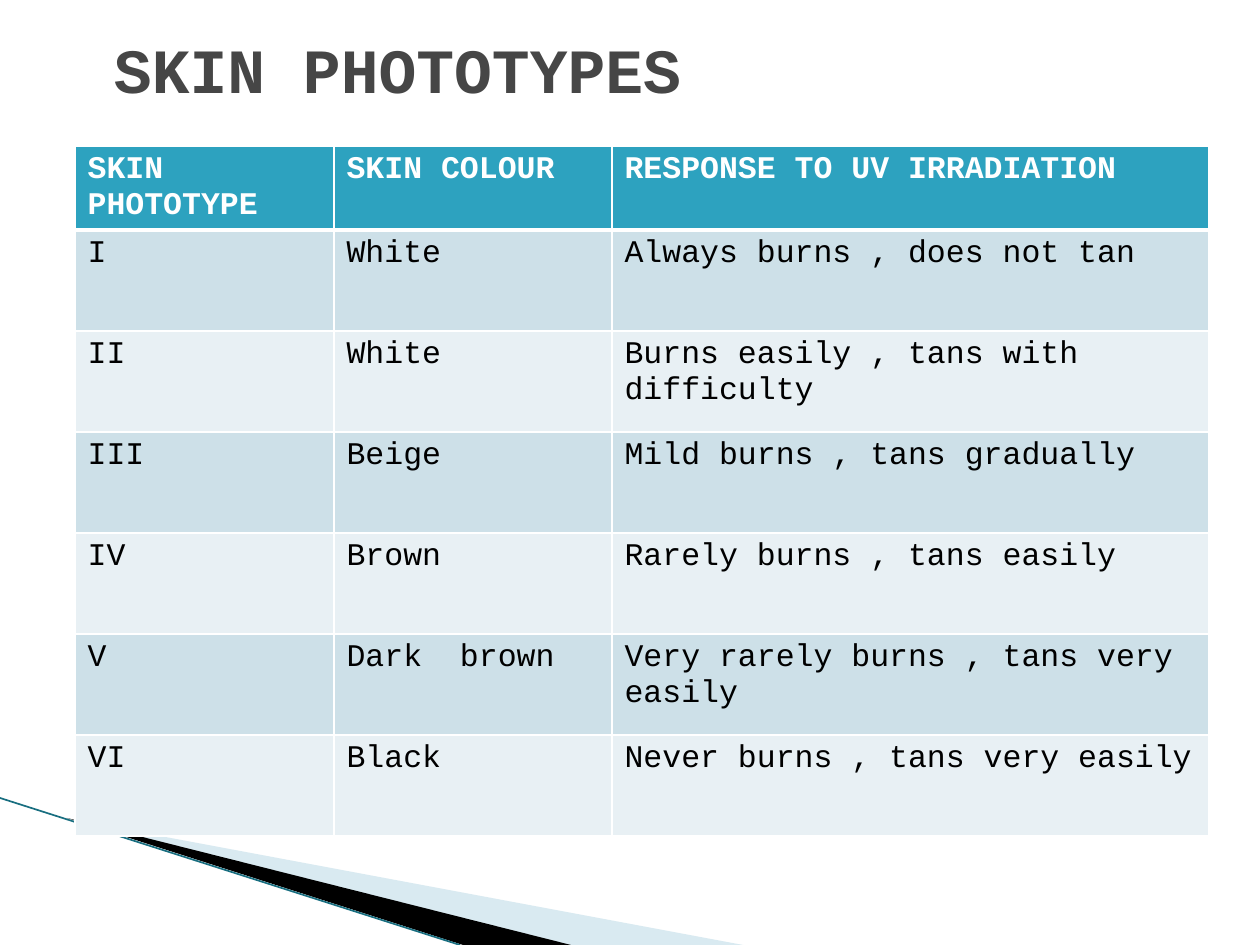
from dataclasses import dataclass

from lxml import etree
from pptx import Presentation
from pptx.dml.color import RGBColor
from pptx.enum.shapes import MSO_CONNECTOR
from pptx.enum.text import MSO_ANCHOR
from pptx.oxml.ns import qn
from pptx.util import Emu, Pt

STRAIGHT = MSO_CONNECTOR.STRAIGHT
MIDDLE = MSO_ANCHOR.MIDDLE
TOP = MSO_ANCHOR.TOP
SCALE = 914400 / 126  # EMU in one px
FONT = "Courier New"
WHITE, BLACK = "FFFFFF", "000000"
HEAD, BANDS = "2DA2BF", ("CDE0E8", "E8F0F4")


@dataclass
class Wedge:
    points: list[tuple[int, int]]
    fill: str
    alpha: int = 100


@dataclass
class Skin:
    type: str
    colour: str
    response: str


WEDGES = [
    Wedge([(69, 819), (743, 945), (570, 945)], "A0CBDC", 40),
    Wedge([(67, 818), (571, 945), (463, 945)], BLACK),
]
TITLES = Skin("SKIN PHOTOTYPE", "SKIN COLOUR", "RESPONSE TO UV IRRADIATION")
SKINS = [
    Skin("I", "White", "Always burns , does not tan"),
    Skin("II", "White", "Burns easily , tans with difficulty"),
    Skin("III", "Beige", "Mild burns , tans gradually"),
    Skin("IV", "Brown", "Rarely burns , tans easily"),
    Skin("V", "Dark  brown", "Very rarely burns , tans very easily"),
    Skin("VI", "Black", "Never burns , tans very easily"),
]
WIDTHS = (259, 278, 597)
HEAD_H, ROW_H = 77, 101


def px(n: int) -> Emu:
    return Emu(round(n * SCALE))


def rgb(code: str) -> RGBColor:
    return RGBColor.from_string(code)


def write(frame, text: str, size: int = 18, color: str = BLACK,
          bold: bool = False, anchor=TOP) -> None:
    frame.word_wrap = True
    frame.vertical_anchor = anchor
    run = frame.paragraphs[0].add_run()
    run.text = text
    font = run.font
    font.name, font.size, font.bold = FONT, Pt(size), bold
    font.color.rgb = rgb(color)


def draw_wedge(slide, wedge: Wedge) -> None:
    first, *rest = wedge.points
    pen = slide.shapes.build_freeform(*first, scale=SCALE)
    pen.add_line_segments(rest, close=True)
    shape = pen.convert_to_shape()
    shape.shadow.inherit = False
    shape.line.fill.background()
    shape.fill.solid()
    shape.fill.fore_color.rgb = rgb(wedge.fill)
    if wedge.alpha < 100:
        tone = shape.fill._xPr.find(".//" + qn("a:srgbClr"))
        etree.SubElement(tone, qn("a:alpha"), val=str(wedge.alpha * 1000))


def draw_line(slide, start: tuple[int, int], end: tuple[int, int],
              color: str) -> None:
    line = slide.shapes.add_connector(STRAIGHT, *map(px, start + end))
    line.line.color.rgb = rgb(color)
    line.line.width = Pt(0.95)
    etree.SubElement(line._element.spPr, qn("a:effectLst"))


def add_edge(cell, side: str, width: int) -> None:
    edge = etree.SubElement(cell._tc.get_or_add_tcPr(), qn("a:ln" + side),
                            w=str(Pt(width)))
    fill = etree.SubElement(edge, qn("a:solidFill"))
    etree.SubElement(fill, qn("a:srgbClr"), val=WHITE)


def draw_table(slide, left: int, top: int) -> None:
    rows = [TITLES, *SKINS]
    high = HEAD_H + ROW_H * len(SKINS)
    table = slide.shapes.add_table(len(rows), len(WIDTHS), px(left), px(top),
                                   px(sum(WIDTHS)), px(high)).table
    for col, width in zip(table.columns, WIDTHS):
        col.width = px(width)
    for r, skin in enumerate(rows):
        head = r == 0
        table.rows[r].height = px(HEAD_H if head else ROW_H)
        for c, text in enumerate((skin.type, skin.colour, skin.response)):
            cell = table.cell(r, c)
            for side in "LRTB":
                thick = (r, side) in ((0, "B"), (1, "T"))
                add_edge(cell, side, 3 if thick else 1)
            cell.fill.solid()
            cell.fill.fore_color.rgb = rgb(HEAD if head else BANDS[(r - 1) % 2])
            write(cell.text_frame, text, color=WHITE if head else BLACK,
                  bold=head)


def main() -> None:
    deck = Presentation()
    deck.slide_width, deck.slide_height = px(1260), px(945)
    slide = deck.slides.add_slide(deck.slide_layouts[6])

    # Corner decoration
    for wedge in WEDGES:
        draw_wedge(slide, wedge)
    draw_line(slide, (0, 798), (460, 945), "186E80")

    # Phototype table
    draw_table(slide, 75, 146)

    # Title
    box = slide.shapes.add_textbox(px(64), px(3), px(1053), px(130))
    box.text_frame.margin_left = px(50)
    write(box.text_frame, "SKIN PHOTOTYPES", size=36, color="464646",
          bold=True, anchor=MIDDLE)

    deck.save("out.pptx")


if __name__ == "__main__":
    main()
